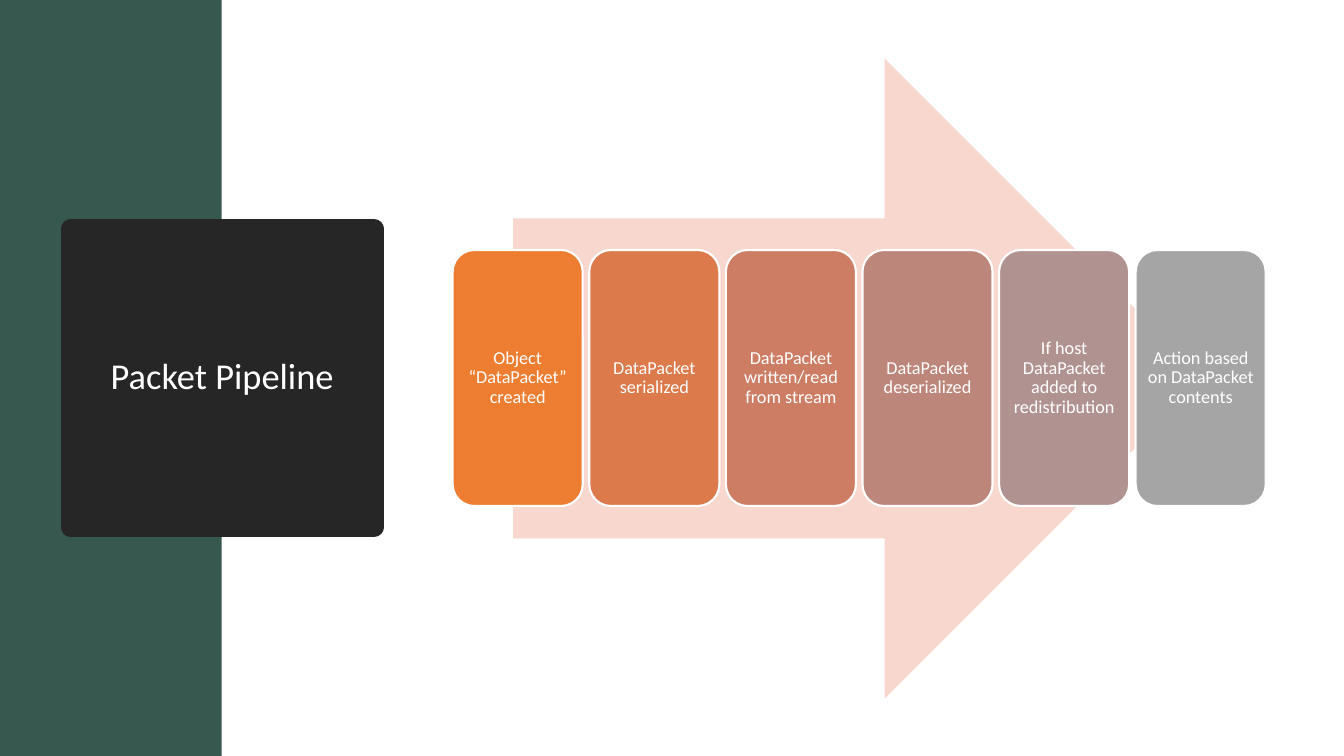
"""Build the Packet Pipeline slide, with lengths given as percent of the slide."""
from lxml import etree
from pptx import Presentation
from pptx import util as u
from pptx.dml.color import RGBColor
from pptx.enum import shapes, text

GREEN = RGBColor(0x37, 0x58, 0x4E)
BLACK = RGBColor(0x26, 0x26, 0x26)
PINK = RGBColor(0xF8, 0xD7, 0xCE)
WHITE = RGBColor(0xFF, 0xFF, 0xFF)
STEPS = [
    ("Object “DataPacket” created", RGBColor(0xED, 0x7D, 0x31)),
    ("DataPacket serialized", RGBColor(0xDC, 0x7A, 0x4B)),
    ("DataPacket written/read from stream", RGBColor(0xCC, 0x7D, 0x64)),
    ("DataPacket deserialized", RGBColor(0xBD, 0x86, 0x7B)),
    ("If host DataPacket added to redistribution", RGBColor(0xB0, 0x93, 0x91)),
    ("Action based on DataPacket contents", RGBColor(0xA5, 0xA5, 0xA5)),
]
KIND = shapes.MSO_SHAPE

prs = Presentation()
prs.slide_width, prs.slide_height = u.Inches(13.33), u.Inches(7.5)
s = prs.slides.add_slide(prs.slide_layouts[6])


def add_box(kind, x, y, w, h, fill, line=None, width=0):
    W, H = prs.slide_width / 100, prs.slide_height / 100
    sp = s.shapes.add_shape(kind, int(x * W), int(y * H), int(w * W), int(h * H))
    sp.shadow.inherit = False
    sp.fill.solid()
    sp.fill.fore_color.rgb = fill
    if line is None:
        sp.line.fill.background()
    else:
        sp.line.color.rgb = line
        sp.line.width = u.Pt(width)
    return sp


def add_text(sp, content, size, inset):
    tf = sp.text_frame
    frame = {"word_wrap": True, "vertical_anchor": text.MSO_ANCHOR.MIDDLE}
    frame.update({f"margin_{side}": u.Inches(inset)
                  for side in ("left", "top", "right", "bottom")})
    for name, value in frame.items():
        setattr(tf, name, value)
    p = tf.paragraphs[0]
    p.alignment = text.PP_ALIGN.CENTER
    p.line_spacing = 0.9
    r = p.add_run()
    r.text = content
    for name, value in {"name": "Calibri", "size": u.Pt(size)}.items():
        setattr(r.font, name, value)
    r.font.color.rgb = WHITE


add_box(KIND.RECTANGLE, 0, 0, 16.5, 100, GREEN)

title = add_box(KIND.RECTANGLE, 5.25, 30.27, 22.58, 39.47, BLACK, BLACK, 13.75)
ln = title.line.fill._xPr
etree.SubElement(ln, "{http://schemas.openxmlformats.org/drawingml/2006/main}round")
add_text(title, "Packet Pipeline", 26, 0.1)

add_box(KIND.RIGHT_ARROW, 38.18, 7.73, 51.46, 84.67, PINK)

card_w = 9.68
pitch = card_w * 1.05
for col, (label, color) in enumerate(STEPS):
    card = add_box(KIND.ROUNDED_RECTANGLE, 33.68 + col * pitch, 33.07,
                   card_w, 33.87, color, WHITE, 1.5)
    add_text(card, label, 13, 0.05)

prs.save("out.pptx")
